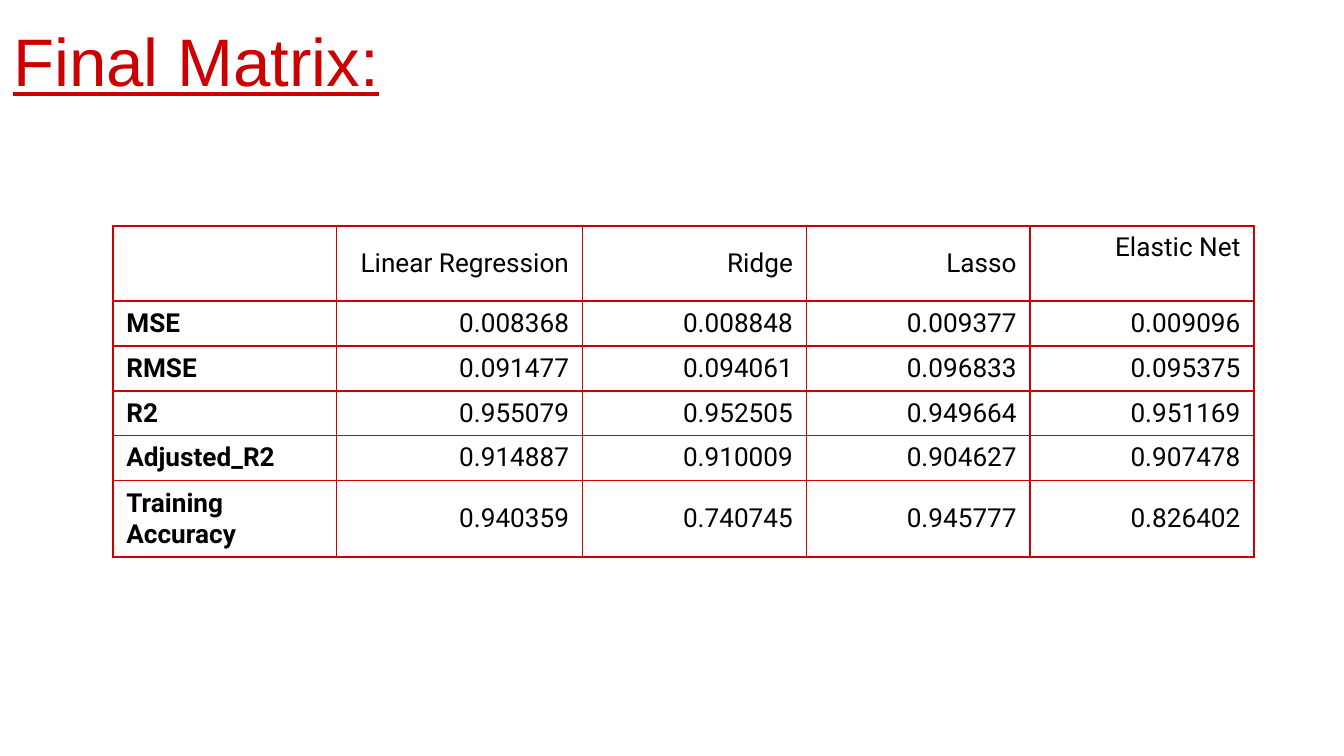
import pptx
import pptx.util
import pptx.dml.color
import pptx.enum.text
import pptx.oxml
from lxml import etree

Inches = pptx.util.Inches
Align = pptx.enum.text.PP_ALIGN
Anchor = pptx.enum.text.MSO_ANCHOR

THEME = {
    "title": {"name": "Arial", "size": pptx.util.Pt(36), "underline": True},
    "label": {"name": "Roboto", "size": pptx.util.Pt(14), "bold": True},
    "value": {"name": "Roboto", "size": pptx.util.Pt(14), "bold": False},
    "red": "CC0000",
    "black": "000000",
    "border_width": pptx.util.Pt(1),
}


def style_font(font, style, color):
    for name, value in THEME[style].items():
        setattr(font, name, value)
    font.color.rgb = pptx.dml.color.RGBColor.from_string(THEME[color])


def add_border(cell, side):
    properties = cell._tc.get_or_add_tcPr()
    line = etree.SubElement(properties, pptx.oxml.ns.qn("a:" + side),
                            w=str(THEME["border_width"]))
    fill = etree.SubElement(line, pptx.oxml.ns.qn("a:solidFill"))
    etree.SubElement(fill, pptx.oxml.ns.qn("a:srgbClr"), val=THEME["red"])


# Widescreen slide, 16 by 9
presentation = pptx.Presentation()
presentation.slide_width = Inches(10)
presentation.slide_height = Inches(10 * 9 / 16)
slide = presentation.slides.add_slide(presentation.slide_layouts[6])

# Title
title = slide.shapes.add_textbox(Inches(0), Inches(0.13), Inches(7.5), Inches(0.63))
frame_format = {"word_wrap": True, "vertical_anchor": Anchor.MIDDLE}
for side in ("left", "top", "right", "bottom"):
    frame_format["margin_" + side] = Inches(0.1)
for name, value in frame_format.items():
    setattr(title.text_frame, name, value)
title_run = title.text_frame.paragraphs[0].add_run()
title_run.text = "Final Matrix:"
style_font(title_run.font, "title", "red")

# Scores by model
scores = [
    ["", "Linear Regression", "Ridge", "Lasso", "Elastic Net"],
    ["MSE", "0.008368", "0.008848", "0.009377", "0.009096"],
    ["RMSE", "0.091477", "0.094061", "0.096833", "0.095375"],
    ["R2", "0.955079", "0.952505", "0.949664", "0.951169"],
    ["Adjusted_R2", "0.914887", "0.910009", "0.904627", "0.907478"],
    ["Training Accuracy", "0.940359", "0.740745", "0.945777", "0.826402"],
]
table_width, wide_column = 8.49, 1.83
narrow_column = (table_width - wide_column) / 4
column_widths = [narrow_column, wide_column] + [narrow_column] * 3
row_heights = [0.56, 0.32, 0.32, 0.32, 0.32, 0.55]
table = slide.shapes.add_table(
    len(scores), len(column_widths), Inches(0.84), Inches(1.68),
    Inches(table_width), Inches(sum(row_heights))).table
table.first_row = table.horz_banding = False
for column, width in zip(table.columns, column_widths):
    column.width = Inches(width)
for row, height in zip(table.rows, row_heights):
    row.height = Inches(height)

for row_index, row_texts in enumerate(scores):
    for column_index, text in enumerate(row_texts):
        cell = table.cell(row_index, column_index)
        is_label = column_index == 0
        cell.vertical_anchor = Anchor.TOP if text == "Elastic Net" else Anchor.MIDDLE
        paragraph = cell.text_frame.paragraphs[0]
        paragraph.alignment = Align.LEFT if is_label else Align.RIGHT
        if text:
            run = paragraph.add_run()
            run.text = text
            style_font(run.font, "label" if is_label else "value", "black")
        # Borders come before the fill in the cell properties
        for side in ("lnL", "lnR", "lnT", "lnB"):
            add_border(cell, side)
        cell.fill.background()

presentation.save("out.pptx")
